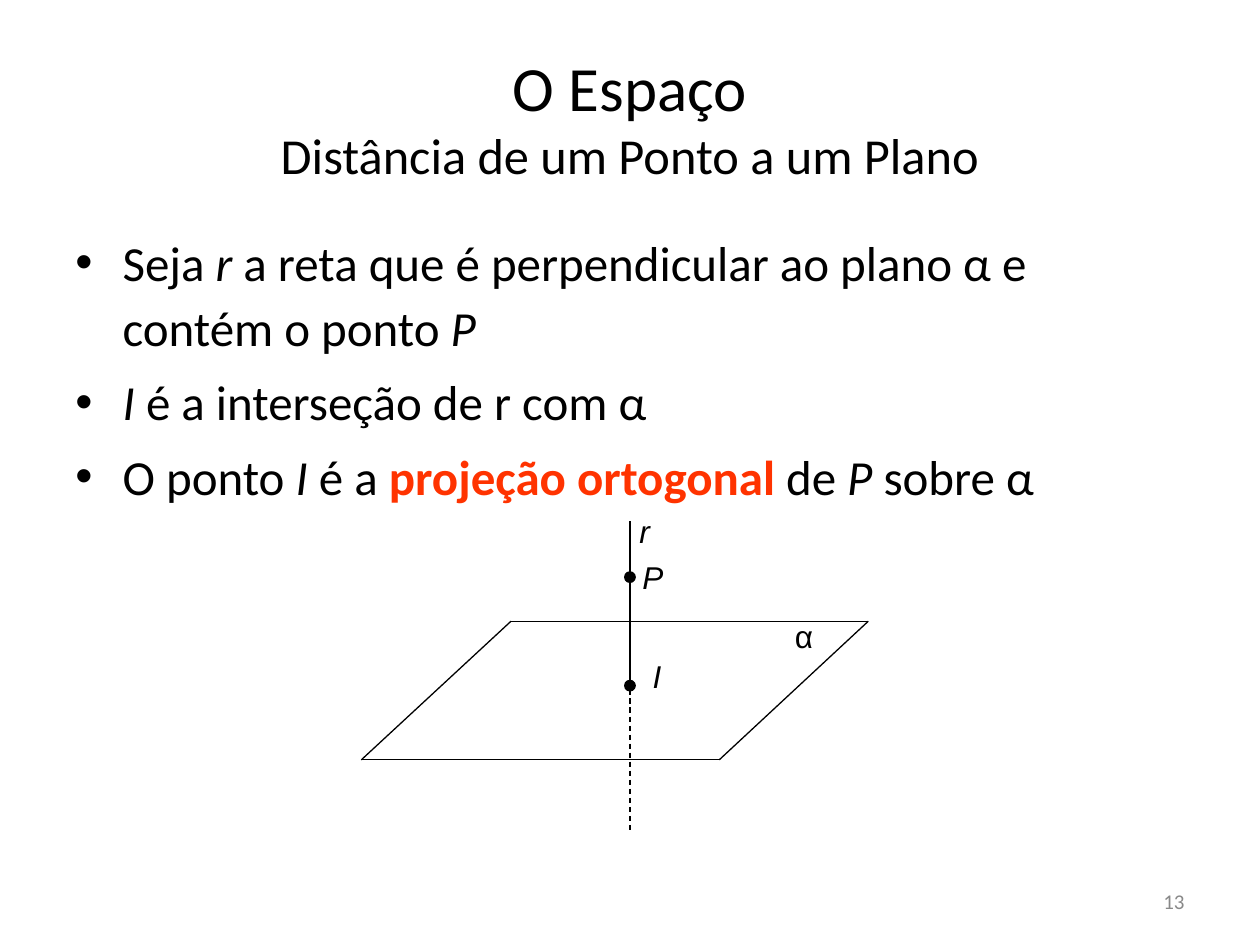
from dataclasses import dataclass
from typing import Any

from lxml.etree import SubElement
from pptx import Presentation
from pptx.dml.color import RGBColor
from pptx.enum.dml import MSO_LINE
from pptx.enum.shapes import MSO_CONNECTOR, MSO_SHAPE
from pptx.enum.text import MSO_ANCHOR, MSO_AUTO_SIZE, PP_ALIGN
from pptx.oxml.ns import qn
from pptx.util import Pt

DASH = MSO_LINE.DASH
STRAIGHT = MSO_CONNECTOR.STRAIGHT
OVAL = MSO_SHAPE.OVAL
MIDDLE = MSO_ANCHOR.MIDDLE
FIXED = MSO_AUTO_SIZE.NONE
FIT = MSO_AUTO_SIZE.SHAPE_TO_FIT_TEXT
CENTER = PP_ALIGN.CENTER
RIGHT = PP_ALIGN.RIGHT


@dataclass(frozen=True)
class Theme:
    ink: str = "000000"
    accent: str = "FF3300"
    muted: str = "898989"
    font: str = "Calibri"
    mark: str = "Arial"
    title: float = 36
    sub: float = 28.8
    body: float = 28
    label: float = 18
    page: float = 12
    line: float = 0.75


@dataclass(frozen=True)
class Span:
    text: str
    italic: bool = False
    strong: bool = False


@dataclass(frozen=True)
class Edge:
    start: tuple[float, float]
    end: tuple[float, float]
    dashed: bool = False


@dataclass(frozen=True)
class Label:
    text: str
    left: float
    top: float
    width: float
    italic: bool = True


THEME = Theme()
AXIS = 360
DOT = 6
DOTS = (329.8, 391.8)
PLANE = ((292, 355), (496.2, 355), (411, 434.2), (206.5, 434.2))
EDGES = [Edge(a, b) for a, b in zip(PLANE, PLANE[1:] + PLANE[:1])] + [
    Edge((AXIS, 298), (AXIS, 394.6)),
    Edge((AXIS, 388.8), (AXIS, 474.5), True),
]
LABELS = [
    Label("r", 358.3, 288.9, 20.2),
    Label("P", 360, 315.4, 26.6),
    Label("I", 365.8, 372.2, 19.4),
    Label("α", 447.1, 349.2, 24.5, False),
]
POINTS = [
    [Span("Seja "), Span("r", True),
     Span(" a reta que é perpendicular ao plano α e contém o ponto "),
     Span("P", True)],
    [Span("I ", True), Span("é a interseção de r com α")],
    [Span("O ponto "), Span("I", True), Span(" é a "),
     Span("projeção ortogonal", strong=True), Span(" de "),
     Span("P", True), Span(" sobre α")],
]


def style(run: Any, size: float, color: str = THEME.ink,
          face: str = THEME.font, italic: bool = False,
          bold: bool = False) -> None:
    """Format one run."""
    font = run.font
    font.name, font.size = face, Pt(size)
    font.italic, font.bold = italic, bold
    font.color.rgb = RGBColor.from_string(color)


def add_box(slide: Any, left: float, top: float, width: float,
            height: float, wrap: bool = True) -> Any:
    """Add a text box and return its frame."""
    box = slide.shapes.add_textbox(Pt(left), Pt(top), Pt(width), Pt(height))
    frame = box.text_frame
    frame.word_wrap = wrap
    frame.auto_size = FIXED if wrap else FIT
    return frame


def add_title(slide: Any) -> None:
    """Fill the title placeholder with two lines."""
    title = slide.shapes.title
    title.left, title.top = Pt(36), Pt(21.6)
    title.width, title.height = Pt(648), Pt(90)
    frame = title.text_frame
    frame.text = "O Espaço\vDistância de um Ponto a um Plano"
    frame.auto_size, frame.vertical_anchor = FIXED, MIDDLE
    para = frame.paragraphs[0]
    para.alignment = CENTER
    for run, size in zip(para.runs, (THEME.title, THEME.sub)):
        style(run, size)


def add_body(slide: Any) -> None:
    """Write the bulleted statements."""
    frame = add_box(slide, 36, 126, 648, 356.4)
    for i, spans in enumerate(POINTS):
        para = frame.add_paragraph() if i else frame.paragraphs[0]
        para.line_spacing = 1.1
        para.space_before = Pt(THEME.body * 0.2)
        props = para._p.get_or_add_pPr()
        props.set("marL", str(Pt(27)))
        props.set("indent", str(-Pt(27)))
        SubElement(props, qn("a:buFont"), typeface=THEME.mark)
        SubElement(props, qn("a:buChar"), char="•")
        for span in spans:
            run = para.add_run()
            run.text = span.text
            color = THEME.accent if span.strong else THEME.ink
            style(run, THEME.body, color, italic=span.italic,
                  bold=span.strong)


def add_edge(slide: Any, edge: Edge) -> None:
    """Draw a thin line between two points."""
    ends = [Pt(v) for v in edge.start + edge.end]
    link = slide.shapes.add_connector(STRAIGHT, *ends)
    link.line.width = Pt(THEME.line)
    link.line.color.rgb = RGBColor.from_string(THEME.ink)
    if edge.dashed:
        link.line.dash_style = DASH
    SubElement(link._element.spPr, qn("a:effectLst"))


def add_dot(slide: Any, mid: float) -> None:
    """Draw a point on the axis."""
    dot = slide.shapes.add_shape(OVAL, Pt(AXIS - DOT / 2), Pt(mid - DOT / 2),
                                 Pt(DOT), Pt(DOT))
    ink = RGBColor.from_string(THEME.ink)
    dot.shadow.inherit = False
    dot.fill.solid()
    dot.fill.fore_color.rgb = ink
    dot.line.color.rgb = ink
    dot.line.width = Pt(THEME.line)


def add_label(slide: Any, label: Label) -> None:
    """Name a part of the figure."""
    frame = add_box(slide, label.left, label.top, label.width, 28.8, False)
    frame.text = label.text
    style(frame.paragraphs[0].runs[0], THEME.label, face=THEME.mark,
          italic=label.italic)


def add_page(slide: Any) -> None:
    """Write the page number."""
    frame = add_box(slide, 516, 500.5, 168, 28.75)
    frame.text = "13"
    frame.vertical_anchor = MIDDLE
    para = frame.paragraphs[0]
    para.alignment = RIGHT
    style(para.runs[0], THEME.page, THEME.muted)


def main() -> None:
    """Build and save the slide."""
    deck = Presentation()
    deck.slide_width, deck.slide_height = Pt(720), Pt(540)
    slide = deck.slides.add_slide(deck.slide_layouts[5])
    add_page(slide)
    add_title(slide)
    add_body(slide)
    for edge in EDGES:
        add_edge(slide, edge)
    for mid in DOTS:
        add_dot(slide, mid)
    for label in LABELS:
        add_label(slide, label)
    deck.save("out.pptx")


main()
